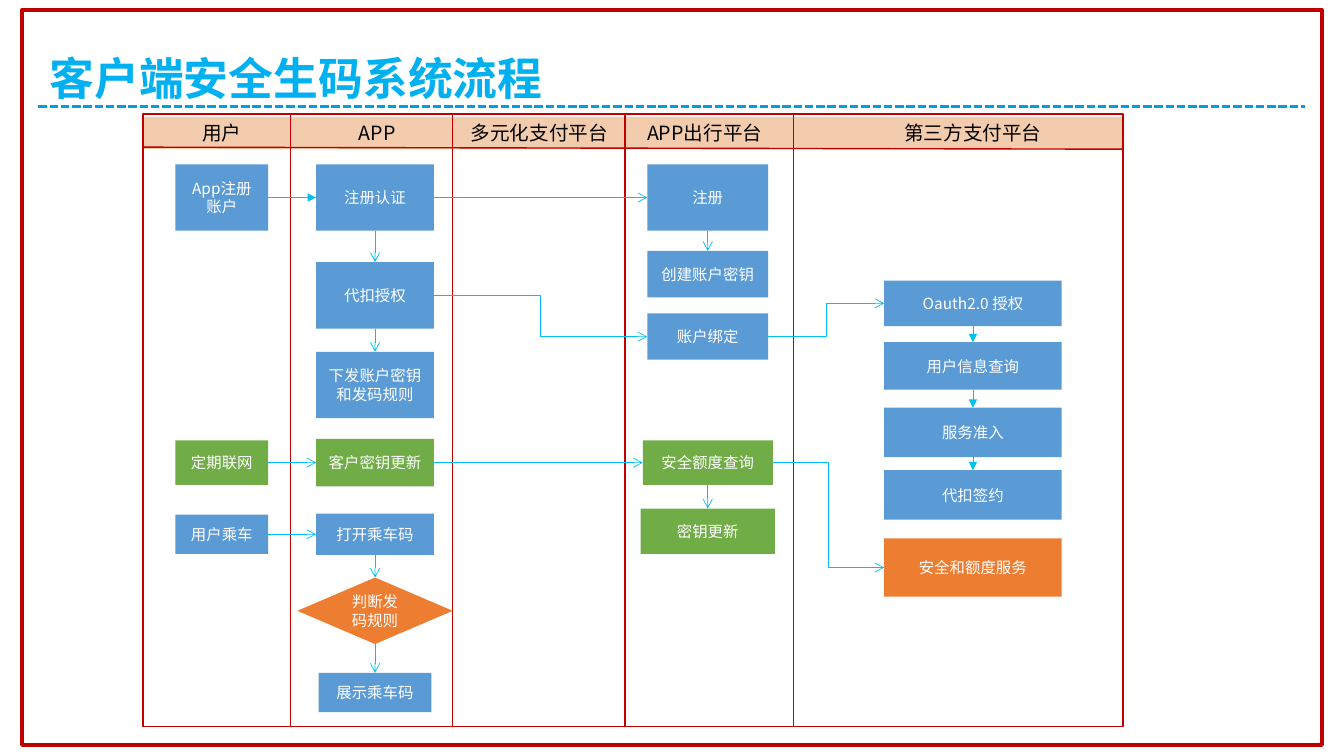
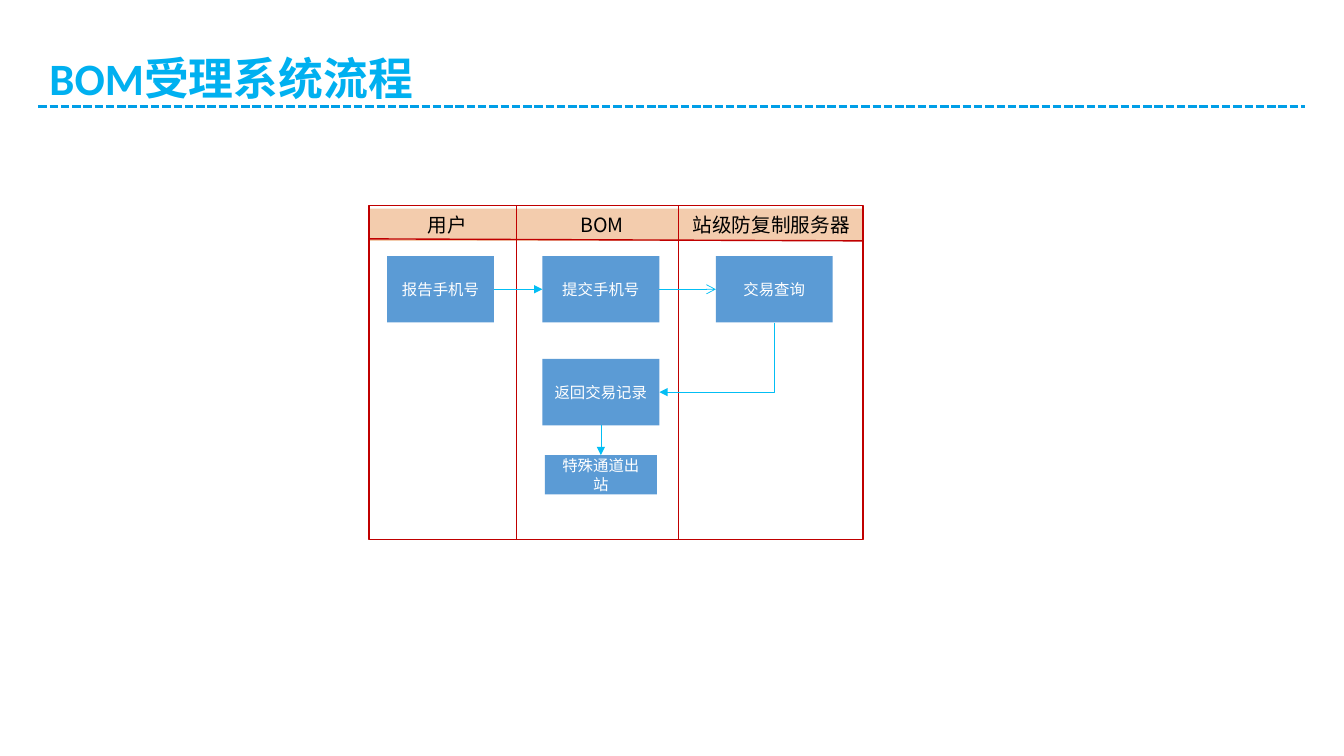
import pptx
import pptx.dml.color
import pptx.enum.dml
import pptx.enum.shapes
import pptx.enum.text
import pptx.oxml
import pptx.oxml.ns
import pptx.util

Inches = pptx.util.Inches
RGBColor = pptx.dml.color.RGBColor
SHAPES = pptx.enum.shapes.MSO_SHAPE
CONNECTORS = pptx.enum.shapes.MSO_CONNECTOR
qn = pptx.oxml.ns.qn

BLUE = RGBColor(0x5B, 0x9B, 0xD5)
GREEN = RGBColor(0x70, 0xAD, 0x47)
ORANGE = RGBColor(0xED, 0x7D, 0x31)
HEADER_TINT = RGBColor(0xDE, 0x6A, 0x10)
RED = RGBColor(0xC0, 0x00, 0x00)
ARROW_BLUE = RGBColor(0x03, 0xBE, 0xF4)
RULE_BLUE = RGBColor(0x00, 0x9E, 0xE7)
TITLE_BLUE = RGBColor(0x00, 0xB0, 0xF0)
BLACK = RGBColor(0x00, 0x00, 0x00)
WHITE = RGBColor(0xFF, 0xFF, 0xFF)

CJK_FONT = "Noto Sans CJK SC"
TITLE_FONT = {"name": "Calibri", "size": pptx.util.Pt(32), "bold": True}
HEADER_FONT = {"name": CJK_FONT, "size": pptx.util.Pt(14)}
NODE_FONT = {"name": CJK_FONT, "size": pptx.util.Pt(11)}

TOP, LEFT, BOTTOM, RIGHT = range(4)
DOWN = (BOTTOM, TOP)
ACROSS = (RIGHT, LEFT)
TURN_BACK = (BOTTOM, RIGHT)


def write_text(shape, text, font, color, align, anchor, insets=None):
    """Put one formatted paragraph into a shape."""
    frame = shape.text_frame
    frame.word_wrap = True
    frame.vertical_anchor = anchor
    if insets:
        for side, inset in zip(("left", "top", "right", "bottom"), insets):
            setattr(frame, "margin_" + side, Inches(inset))
    paragraph = frame.paragraphs[0]
    paragraph.alignment = align
    run = paragraph.add_run()
    run.text = text
    for name, value in font.items():
        setattr(run.font, name, value)
    run.font.color.rgb = color
    east_asian = pptx.oxml.parse_xml(
        f'<a:ea {pptx.oxml.ns.nsdecls("a")} typeface="{CJK_FONT}"/>')
    run.font._element.find(qn("a:latin")).addnext(east_asian)
    return paragraph


def add_box(slide, left, top, width, height, fill=None, line=None,
            line_width=1, preset=SHAPES.RECTANGLE):
    """Add a plain shape, filled or outlined."""
    shape = slide.shapes.add_shape(
        preset, Inches(left), Inches(top), Inches(width), Inches(height))
    shape.shadow.inherit = False
    if fill is None:
        shape.fill.background()
    else:
        shape.fill.solid()
        shape.fill.fore_color.rgb = fill
    if line is None:
        shape.line.fill.background()
    else:
        shape.line.color.rgb = line
        shape.line.width = pptx.util.Pt(line_width)
    return shape


def style_line(connector, color, width, head=None):
    """Colour a connector, drop its shadow and give it an arrowhead."""
    connector.line.color.rgb = color
    connector.line.width = pptx.util.Pt(width)
    if head:
        tail = connector.line._get_or_add_ln().makeelement(
            qn("a:tailEnd"), {"type": head})
        connector.line._get_or_add_ln().append(tail)
    properties = connector._element.spPr
    properties.append(properties.makeelement(qn("a:effectLst"), {}))


def add_line(slide, start, end, color, width):
    points = [Inches(value) for value in (*start, *end)]
    connector = slide.shapes.add_connector(CONNECTORS.STRAIGHT, *points)
    style_line(connector, color, width)
    return connector


def add_title(slide, text):
    """Title with the dashed rule below it."""
    title = slide.shapes.title
    title.left, title.top = Inches(0.44), Inches(0.19)
    title.width, title.height = Inches(12.46), Inches(0.88)
    paragraph = write_text(
        title, text, TITLE_FONT, TITLE_BLUE, pptx.enum.text.PP_ALIGN.LEFT,
        pptx.enum.text.MSO_ANCHOR.BOTTOM, (0.05, 0.03, 0.05, 0.03))
    paragraph.line_spacing = 0.9
    title.text_frame.auto_size = pptx.enum.text.MSO_AUTO_SIZE.NONE
    rule = add_line(slide, (0.38, 1.06), (12.94, 1.06), RULE_BLUE, 2)
    rule.line.dash_style = pptx.enum.dml.MSO_LINE.SQUARE_DOT


def add_lanes(slide, box, dividers, headers):
    """Swimlane table: tinted header, outline, dividers and lane names."""
    left, top, width, height = box
    tint = add_box(slide, left, top + 0.03, width, 0.32, HEADER_TINT)
    color = tint.fill._xPr.find(".//" + qn("a:srgbClr"))
    color.append(color.makeelement(qn("a:alpha"), {"val": "34000"}))
    add_box(slide, *box, line=RED)
    for offset in dividers:
        x = left + offset
        add_line(slide, (x, top), (x, top + height), RED, 1)
    add_line(slide, (left + width, top + 0.35), (left, top + 0.33), RED, 1)
    label_width = 1.75
    for text, center in headers:
        label = slide.shapes.add_textbox(
            Inches(left + center - label_width / 2), Inches(top + 0.01),
            Inches(label_width), Inches(0.35))
        write_text(label, text, HEADER_FONT, BLACK,
                   pptx.enum.text.PP_ALIGN.CENTER,
                   pptx.enum.text.MSO_ANCHOR.MIDDLE, (0.06,) * 4)
        label.text_frame.auto_size = (
            pptx.enum.text.MSO_AUTO_SIZE.SHAPE_TO_FIT_TEXT)


def turn_corner(connector):
    """Give a down-then-left elbow a single corner."""
    left, top = connector.left, connector.top
    width, height = connector.width, connector.height
    transform = connector._element.spPr.find(qn("a:xfrm"))
    transform.attrib.pop("flipH", None)
    transform.set("rot", "5400000")
    connector.left = left + (width - height) // 2
    connector.top = top + (height - width) // 2
    connector.width, connector.height = height, width
    geometry = connector._element.spPr.find(qn("a:prstGeom"))
    geometry.set("prst", "bentConnector2")


def add_flow(slide, box, nodes, links):
    """Nodes by centre and size within the box, then the joining arrows."""
    left, top = box[:2]
    shapes, centers = {}, {}
    for text, x, y, width, height, color, *preset in nodes:
        shape = add_box(
            slide, left + x - width / 2, top + y - height / 2, width, height,
            color, preset=preset[0] if preset else SHAPES.RECTANGLE)
        write_text(shape, text, NODE_FONT, WHITE,
                   pptx.enum.text.PP_ALIGN.CENTER,
                   pptx.enum.text.MSO_ANCHOR.MIDDLE)
        shapes[text], centers[text] = shape, (x, y)
    for start, end, sides, head in links:
        aligned = any(a == b for a, b in zip(centers[start], centers[end]))
        kind = CONNECTORS.STRAIGHT if aligned else CONNECTORS.ELBOW
        connector = slide.shapes.add_connector(kind, 0, 0, 0, 0)
        connector.begin_connect(shapes[start], sides[0])
        connector.end_connect(shapes[end], sides[1])
        if sides == TURN_BACK:
            turn_corner(connector)
        style_line(connector, ARROW_BLUE, 0.5, head)


def build_code_slide(slide):
    add_title(slide, "客户端安全生码系统流程")
    box = (1.42, 1.13, 9.72, 6.08)
    add_lanes(slide, box, (1.46, 3.07, 4.78, 6.45), (
        ("用户", 0.78), ("APP", 2.32), ("多元化支付平台", 3.93),
        ("APP出行平台", 5.57), ("第三方支付平台", 8.23)))
    user, app, travel, payment = 0.78, 2.3, 5.6, 8.23
    nodes = (
        ("App注册账户", user, 0.83, 0.92, 0.66, BLUE),
        ("定期联网", user, 3.46, 0.92, 0.44, GREEN),
        ("用户乘车", user, 4.17, 0.92, 0.39, BLUE),
        ("注册认证", app, 0.83, 1.17, 0.66, BLUE),
        ("代扣授权", app, 1.8, 1.17, 0.66, BLUE),
        ("下发账户密钥和发码规则", app, 2.69, 1.17, 0.66, BLUE),
        ("客户密钥更新", app, 3.46, 1.17, 0.47, GREEN),
        ("打开乘车码", app, 4.17, 1.17, 0.41, BLUE),
        ("判断发码规则", app, 4.93, 1.54, 0.66, ORANGE,
         SHAPES.FLOWCHART_DECISION),
        ("展示乘车码", app, 5.74, 1.12, 0.39, BLUE),
        ("注册", travel, 0.83, 1.2, 0.66, BLUE),
        ("创建账户密钥", travel, 1.59, 1.2, 0.46, BLUE),
        ("账户绑定", travel, 2.21, 1.2, 0.46, BLUE),
        ("安全额度查询", travel, 3.46, 1.29, 0.44, GREEN),
        ("密钥更新", travel, 4.14, 1.33, 0.45, GREEN),
        ("Oauth2.0 授权", payment, 1.88, 1.76, 0.45, BLUE),
        ("用户信息查询", payment, 2.5, 1.76, 0.47, BLUE),
        ("服务准入", payment, 3.16, 1.76, 0.49, BLUE),
        ("代扣签约", payment, 3.78, 1.76, 0.49, BLUE),
        ("安全和额度服务", payment, 4.5, 1.76, 0.58, ORANGE),
    )
    links = (
        ("App注册账户", "注册认证", ACROSS, "triangle"),
        ("注册认证", "注册", ACROSS, "arrow"),
        ("注册认证", "代扣授权", DOWN, "arrow"),
        ("代扣授权", "下发账户密钥和发码规则", DOWN, "arrow"),
        ("代扣授权", "账户绑定", ACROSS, "arrow"),
        ("注册", "创建账户密钥", DOWN, "arrow"),
        ("账户绑定", "Oauth2.0 授权", ACROSS, "arrow"),
        ("Oauth2.0 授权", "用户信息查询", DOWN, "triangle"),
        ("用户信息查询", "服务准入", DOWN, "triangle"),
        ("服务准入", "代扣签约", DOWN, "triangle"),
        ("定期联网", "客户密钥更新", ACROSS, "arrow"),
        ("客户密钥更新", "安全额度查询", ACROSS, "arrow"),
        ("安全额度查询", "密钥更新", DOWN, "arrow"),
        ("安全额度查询", "安全和额度服务", ACROSS, "arrow"),
        ("用户乘车", "打开乘车码", ACROSS, "arrow"),
        ("打开乘车码", "判断发码规则", DOWN, "arrow"),
        ("判断发码规则", "展示乘车码", DOWN, "arrow"),
    )
    add_flow(slide, box, nodes, links)
    # Red frame around the whole slide
    add_box(slide, 0.22, 0.1, 12.89, 7.29, line=RED, line_width=3)


def build_bom_slide(slide):
    add_title(slide, "BOM受理系统流程")
    box = (3.66, 2.04, 4.9, 3.31)
    add_lanes(slide, box, (1.46, 3.07), (
        ("用户", 0.78), ("BOM", 2.31), ("站级防复制服务器", 3.99)))
    user, bom, server = 0.71, 2.3, 4.02
    nodes = (
        ("报告手机号", user, 0.83, 1.06, 0.66, BLUE),
        ("提交手机号", bom, 0.83, 1.16, 0.66, BLUE),
        ("返回交易记录", bom, 1.85, 1.16, 0.66, BLUE),
        ("特殊通道出站", bom, 2.67, 1.11, 0.39, BLUE),
        ("交易查询", server, 0.83, 1.16, 0.66, BLUE),
    )
    links = (
        ("报告手机号", "提交手机号", ACROSS, "triangle"),
        ("提交手机号", "交易查询", ACROSS, "arrow"),
        ("交易查询", "返回交易记录", TURN_BACK, "triangle"),
        ("返回交易记录", "特殊通道出站", DOWN, "triangle"),
    )
    add_flow(slide, box, nodes, links)


def main():
    presentation = pptx.Presentation()
    presentation.slide_width = Inches(13.33)
    presentation.slide_height = Inches(7.5)
    title_only = presentation.slide_layouts[5]
    for build in (build_code_slide, build_bom_slide):
        build(presentation.slides.add_slide(title_only))
    presentation.save("out.pptx")


if __name__ == "__main__":
    main()
